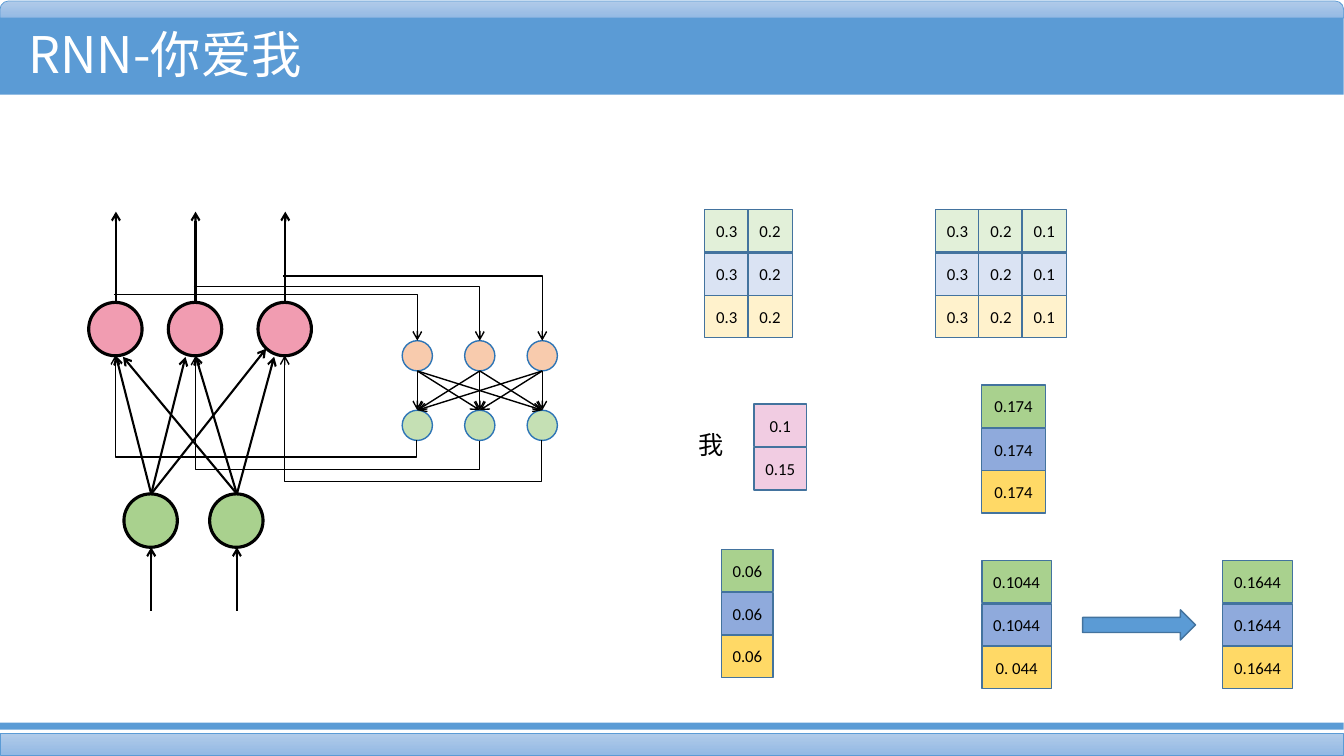
from dataclasses import dataclass
from itertools import product

from lxml import etree
from pptx import Presentation
from pptx import util as u
from pptx.dml.color import RGBColor
from pptx.enum import shapes, text
from pptx.oxml.ns import qn

SCALE = 9144  # EMU in one px, 100 px to the inch
KIND = shapes.MSO_SHAPE
BLACK, WHITE, BLUE, EDGE = "000000", "FFFFFF", "5B9BD5", "43739E"
PALE = ("E2F0D9", "DAE3F3", "FFF2CC")
DEEP = ("A9D18E", "8FAADC", "FFD966")
PINK = ("F1CCE2", "F1CCE2")


@dataclass
class Ring:
    """A row of equal circles."""
    lefts: tuple[int, ...]
    top: int
    size: int
    fill: str
    edge: str
    weight: float

    @property
    def mids(self) -> list[int]:
        return [left + self.size // 2 for left in self.lefts]

    @property
    def base(self) -> int:
        return self.top + self.size


@dataclass
class Grid:
    """A block of number cells, one colour to a row."""
    left: int
    top: int
    width: int
    fills: tuple[str, ...]
    rows: tuple[tuple[str, ...], ...]


OUTER = Ring((88, 167, 256), 300, 53, "F19CB1", BLACK, 2.25)
INNER = Ring((123, 208), 490, 53, "A9D18E", BLACK, 2.25)
UPPER = Ring((399, 461, 523), 338, 30, "F8CBAD", "2E75B6", 1)
LOWER = Ring((399, 461, 523), 407, 30, "C5E0B4", "2E75B6", 1)

GRIDS = [
    Grid(699, 208, 44, PALE, (("0.3", "0.2"),) * 3),
    Grid(928, 208, 44, PALE, (("0.3", "0.2", "0.1"),) * 3),
    Grid(748, 401, 52, PINK, (("0.1",), ("0.15",))),
    Grid(974, 382, 63, DEEP, (("0.174",),) * 3),
    Grid(716, 545, 51, DEEP, (("0.06",),) * 3),
    Grid(974, 556, 69, DEEP, (("0.1044",), ("0.1044",), ("0. 044",))),
    Grid(1213, 556, 69, DEEP, (("0.1644",),) * 3),
]

# Arrow tips on the output circles, for each input circle
TIPS = (((115, 353), (184, 354), (264, 346)),
        ((122, 354), (194, 353), (272, 354)))

prs = Presentation()
prs.slide_width, prs.slide_height = u.Inches(13.333), u.Inches(7.5)
slide = prs.slides.add_slide(prs.slide_layouts[5])


def px(*sizes: int) -> list[int]:
    return [u.Emu(size * SCALE) for size in sizes]


def color(code: str) -> RGBColor:
    return RGBColor.from_string(code)


def shape(kind, box: tuple, fill: str, edge: str = "", weight: float = 1):
    item = slide.shapes.add_shape(kind, *px(*box))
    item.shadow.inherit = False
    item.fill.solid()
    item.fill.fore_color.rgb = color(fill)
    if edge:
        item.line.color.rgb = color(edge)
        item.line.width = u.Pt(weight)
    else:
        item.line.fill.background()
    return item


def shade(kind, box: tuple):
    """Draw a band that fades from top to bottom."""
    item = shape(kind, box, BLUE, BLUE, 0.5)
    item.fill.gradient()
    item.fill.gradient_angle = 270
    for stop, code in zip(item.fill.gradient_stops, ("B1CBE9", "93B9E4")):
        stop.color.rgb = color(code)
    return item


def write(frame, words: str, size: int, code: str, face: str, align) -> None:
    frame.text = words
    line = frame.paragraphs[0]
    line.alignment = align
    for run in line.runs:
        run.font.size, run.font.name = u.Pt(size), face
        run.font.color.rgb = color(code)
        east = etree.Element(qn("a:ea"), typeface=face)
        run.font._element.find(qn("a:latin")).addnext(east)


def arrow(start: tuple, end: tuple, weight: float,
          kind=shapes.MSO_CONNECTOR.STRAIGHT):
    link = slide.shapes.add_connector(kind, *px(*start, *end))
    link.line.color.rgb = color(BLACK)
    link.line.width = u.Pt(weight)
    props = link._element.spPr
    etree.SubElement(props.find(qn("a:ln")), qn("a:tailEnd"), type="arrow")
    etree.SubElement(props, qn("a:effectLst"))
    return link


def feed(start: tuple, end: tuple) -> None:
    """Lead an arrow right, then down."""
    link = arrow(start, end, 1, shapes.MSO_CONNECTOR.ELBOW)
    link._element.spPr.find(qn("a:prstGeom")).set("prst", "bentConnector2")


def loop(start: tuple, end: tuple, drop: int) -> None:
    """Lead an arrow down by drop, left, then up."""
    link = arrow(start, end, 1, shapes.MSO_CONNECTOR.ELBOW)
    wide, high = start[0] - end[0], start[1] - end[1]
    link.left, link.top, link.width, link.height = px(
        (start[0] + end[0] - high) // 2, (start[1] + end[1] - wide) // 2,
        high, wide)
    props = link._element.spPr
    frame = props.find(qn("a:xfrm"))
    frame.attrib.pop("flipV", None)
    frame.set("rot", "5400000")
    frame.set("flipH", "1")
    guides = props.find(qn("a:prstGeom")).find(qn("a:avLst"))
    etree.SubElement(guides, qn("a:gd"), name="adj1",
                     fmla=f"val {-round(drop / high * 100000)}")


def bands() -> None:
    cap = shade(KIND.ROUND_2_SAME_RECTANGLE, (0, 1, 1333, 17))
    cap.adjustments[0] = 0.5
    shape(KIND.RECTANGLE, (0, 18, 1333, 76), BLUE)
    shade(KIND.RECTANGLE, (0, 728, 1333, 21))
    shape(KIND.RECTANGLE, (0, 717, 1333, 7), BLUE)


def title() -> None:
    head = slide.shapes.title
    head.left, head.top, head.width, head.height = px(18, 18, 309, 71)
    frame = head.text_frame
    frame.word_wrap = False
    frame.auto_size = text.MSO_AUTO_SIZE.SHAPE_TO_FIT_TEXT
    frame.vertical_anchor = text.MSO_ANCHOR.TOP
    write(frame, "RNN-你爱我", 36, WHITE, "Noto Sans CJK SC",
          text.PP_ALIGN.LEFT)
    slide.shapes._spTree.append(head._element)  # in front of the bands


def network() -> None:
    for ring in (OUTER, INNER, UPPER, LOWER):
        for left in ring.lefts:
            shape(KIND.OVAL, (left, ring.top, ring.size, ring.size),
                  ring.fill, ring.edge, ring.weight)
    for mid, tips in zip((150, 235), TIPS):
        arrow((mid, 606), (mid, INNER.base), 1.5)
        for tip in tips:
            arrow((mid, INNER.top), tip, 1.5)
    outs = (115, 194, 283)
    for out in outs:
        arrow((out, OUTER.top), (out, 210), 1.5)
    for start, end in product(UPPER.mids, LOWER.mids):
        arrow((start, UPPER.base), (end, LOWER.top), 1)
    for out, mid, high, drop in zip(outs, UPPER.mids, (292, 284, 274),
                                    (17, 29, 41)):
        feed((out - 2, high), (mid, UPPER.top))
        loop((mid, LOWER.base), (out, OUTER.base), drop)


def grid(block: Grid) -> None:
    for i, (fill, row) in enumerate(zip(block.fills, block.rows)):
        for j, words in enumerate(row):
            box = (block.left + 43 * j, block.top + (85 * i + 1) // 2,
                   block.width, 42)
            cell = shape(KIND.RECTANGLE, box, fill, EDGE)
            cell.text_frame.vertical_anchor = text.MSO_ANCHOR.MIDDLE
            write(cell.text_frame, words, 12, BLACK, "Calibri",
                  text.PP_ALIGN.CENTER)


def main() -> None:
    bands()
    title()
    network()
    for block in GRIDS:
        grid(block)
    shape(KIND.RIGHT_ARROW, (1074, 605, 112, 30), BLUE, EDGE)
    word = slide.shapes.add_textbox(*px(683, 421, 45, 40))
    write(word.text_frame, "我", 18, BLACK, "Calibri", text.PP_ALIGN.LEFT)
    prs.save("out.pptx")


if __name__ == "__main__":
    main()
